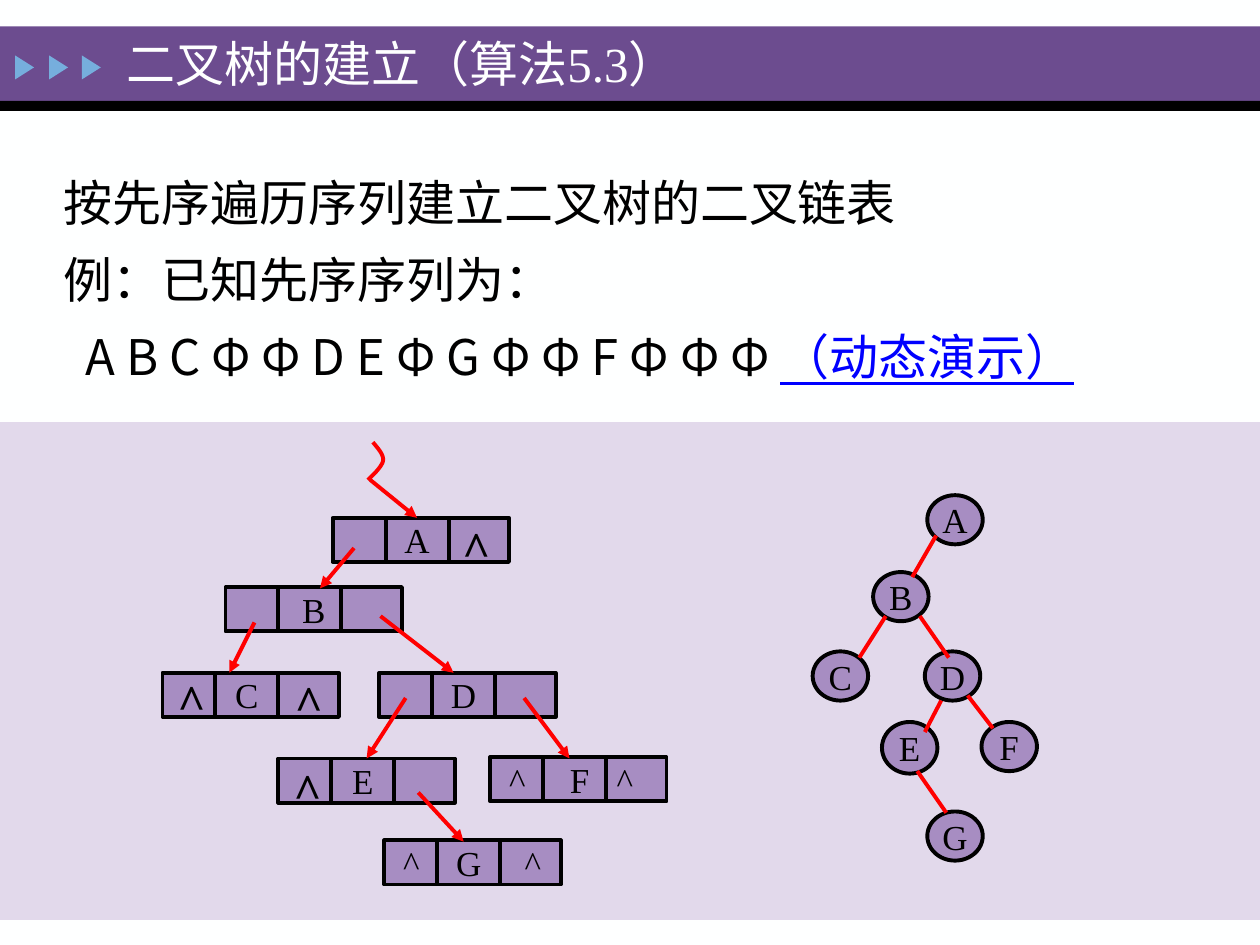
from lxml import etree
from pptx import Presentation
from pptx import util as u
from pptx.dml.color import RGBColor
from pptx.enum import shapes, text
from pptx.oxml.ns import qn

SERIF, SANS = "Times New Roman", "Noto Sans CJK SC"
KIND = shapes.MSO_SHAPE
ALIGN = text.PP_ALIGN


def colour(code):
    return RGBColor.from_string(code)


def add_span(para, words, size=20, font=SERIF, color="000000", bold=False, underline=False):
    span = para.add_run()
    span.text = words
    span.font.size = u.Pt(size)
    span.font.name = font
    span.font.bold = bold
    span.font.underline = underline
    span.font.color.rgb = colour(color)
    etree.SubElement(span.font._element, qn("a:ea")).set("typeface", SANS)


class Board:
    node_fill, ink, red, width = "A78DC2", "000000", "FF0000", 2.25

    def __init__(self, slide):
        self.slide = slide

    def outline(self, item, color):
        item.line.color.rgb = colour(color)
        item.line.width = u.Pt(self.width)

    def shape(self, kind, left, top, width, height, fill, line=None):
        box = self.slide.shapes.add_shape(
            kind, u.Inches(left), u.Inches(top), u.Inches(width), u.Inches(height))
        box.shadow.inherit = False
        box.fill.solid()
        box.fill.fore_color.rgb = colour(fill)
        if line:
            self.outline(box, line)
        else:
            box.line.fill.background()
        return box

    def line(self, start, end, color=red, arrow=False):
        link = self.slide.shapes.add_connector(
            shapes.MSO_CONNECTOR.STRAIGHT, *(u.Inches(v) for v in (*start, *end)))
        self.outline(link, color)
        if arrow:
            etree.SubElement(link.line._get_or_add_ln(), qn("a:tailEnd")).set("type", "triangle")
        etree.SubElement(link._element.spPr, qn("a:effectLst"))
        return link

    def textbox(self, left, top, width, height, anchor=text.MSO_ANCHOR.TOP):
        box = self.slide.shapes.add_textbox(
            u.Inches(left), u.Inches(top), u.Inches(width), u.Inches(height))
        box.text_frame.word_wrap = True
        box.text_frame.vertical_anchor = anchor
        return box.text_frame

    def circle(self, label, left, top, height=0.39):
        box = self.shape(KIND.OVAL, left, top, 0.44, height, self.node_fill, self.ink)
        frame = box.text_frame
        frame.word_wrap = False
        frame.vertical_anchor = text.MSO_ANCHOR.MIDDLE
        frame.paragraphs[0].alignment = ALIGN.CENTER
        add_span(frame.paragraphs[0], label)

    def record(self, label, left, top, centre=0.67, last=None):
        width, height, inset = 1.4, 0.35, 0.15
        box = self.shape(KIND.RECTANGLE, left, top, width, height, self.node_fill, self.ink)
        frame = box.text_frame
        frame.word_wrap = True
        frame.vertical_anchor = text.MSO_ANCHOR.MIDDLE
        frame.margin_left = frame.margin_right = 0
        para = frame.paragraphs[0]
        if last:
            frame.margin_left = u.Inches(inset)
            para.alignment = ALIGN.LEFT
            stops = etree.SubElement(para._p.get_or_add_pPr(), qn("a:tabLst"))
            for place in (centre, last):
                stop = etree.SubElement(stops, qn("a:tab"))
                stop.set("pos", str(u.Inches(place - inset)))
                stop.set("algn", "ctr")
            label = f"^\t{label}\t^"
        else:
            frame.margin_right = u.Inches(width - 2 * centre)
            para.alignment = ALIGN.CENTER
        add_span(para, label)
        for offset in (0.42, 0.92):
            self.line((left + offset, top), (left + offset, top + height), self.ink)
        return box

    def curve(self, *controls):
        steps = 12
        points = []
        for p0, p1, p2, p3 in controls:
            for step in range(steps + 1):
                t = step / steps
                s = 1 - t
                points.append(tuple(
                    u.Inches(s**3 * a + 3 * s * s * t * b + 3 * s * t * t * c + t**3 * d)
                    for a, b, c, d in zip(p0, p1, p2, p3)))
        builder = self.slide.shapes.build_freeform(*points[0])
        builder.add_line_segments(points[1:], close=False)
        hook = builder.convert_to_shape()
        hook.shadow.inherit = False
        hook.fill.background()
        self.outline(hook, self.red)


def draw_header(board):
    board.shape(KIND.RECTANGLE, 0, 0.21, 10, 0.59, "6C4C8F")
    board.shape(KIND.RECTANGLE, 0, 0.8, 10, 0.08, "000000")
    for left in (0.1, 0.37, 0.63):
        board.shape(KIND.ISOSCELES_TRIANGLE, left, 0.46, 0.19, 0.15, "76AEDD").rotation = 90
    title = board.textbox(0.91, 0.22, 5.86, 0.56, text.MSO_ANCHOR.MIDDLE)
    add_span(title.paragraphs[0], "二叉树的建立（算法5.3）", size=28, color="FEFFFF")


def draw_body(board):
    body = board.textbox(0.41, 1.18, 9.43, 1.94)
    lines = [
        [("按先序遍历序列建立二叉树的二叉链表", {})],
        [("例：已知先序序列为：", {})],
        [("A B C Φ Φ D E Φ G Φ Φ F Φ Φ Φ ", {"font": SANS}),
         ("（动态演示）", {"color": "0000FF", "underline": True})],
    ]
    for number, spans in enumerate(lines):
        para = body.add_paragraph() if number else body.paragraphs[0]
        para.line_spacing = u.Pt(44)
        for words, style in spans:
            add_span(para, words, size=28, **style)
    para._p.get_or_add_pPr().set("marL", str(u.Inches(0.17)))


def draw_tree(board):
    for label, left, top in (("A", 7.36, 3.93), ("B", 6.93, 4.54), ("C", 6.45, 5.17),
                             ("D", 7.34, 5.17), ("F", 7.79, 5.73), ("G", 7.36, 6.44)):
        board.circle(label, left, top)
    board.circle("E", 7, 5.73, height=0.41)
    for start, end in (((7.43, 4.25), (7.24, 4.58)), ((7.03, 4.89), (6.82, 5.22)),
                       ((7.3, 4.89), (7.53, 5.22)), ((7.47, 5.56), (7.34, 5.81)),
                       ((7.68, 5.52), (7.88, 5.78)), ((7.28, 6.12), (7.51, 6.45))):
        board.line(start, end)


def draw_linked_list(board):
    board.record("A", 2.64, 4.11)
    board.record("B", 1.79, 4.66, centre=0.7)
    board.record("C", 1.29, 5.34)
    board.record("D", 3.01, 5.34)
    record_e = board.record("E", 2.21, 6.02)
    board.record("F", 3.89, 6.01, centre=0.71, last=1.07)
    board.record("G", 3.05, 6.67, last=1.18)
    for start, end in (((2.81, 4.35), (2.54, 4.67)), ((2.02, 4.94), (1.82, 5.34)),
                       ((3.02, 4.89), (3.6, 5.34)), ((4.16, 5.54), (4.52, 6.02)),
                       ((3.32, 6.29), (3.68, 6.68)), ((2.94, 3.81), (3.31, 4.11))):
        board.line(start, end, arrow=True)
    board.line((3.22, 5.54), (2.9, 6.02), arrow=True).end_connect(record_e, 0)
    board.curve(((2.96, 3.51), (3, 3.56), (3.05, 3.61), (3.04, 3.66)),
                ((3.04, 3.66), (3.03, 3.71), (2.94, 3.79), (2.92, 3.81)))
    for left, top, width in ((1.31, 5.27, 0.39), (2.24, 5.28, 0.39),
                             (2.23, 5.98, 0.59), (3.57, 4.06, 0.68)):
        mark = board.textbox(left, top, width, 0.57)
        add_span(mark.paragraphs[0], "^", size=28, bold=True)


def main():
    deck = Presentation()
    deck.slide_width, deck.slide_height = u.Inches(10), u.Inches(7.5)
    page = deck.slides.add_slide(deck.slide_layouts[6])
    page.background.fill.solid()
    page.background.fill.fore_color.rgb = colour("FEFFFF")
    board = Board(page)
    draw_header(board)
    board.shape(KIND.RECTANGLE, 0, 3.35, 10, 3.95, "E2D9EB")
    draw_tree(board)
    draw_linked_list(board)
    draw_body(board)
    deck.save("out.pptx")


if __name__ == "__main__":
    main()
